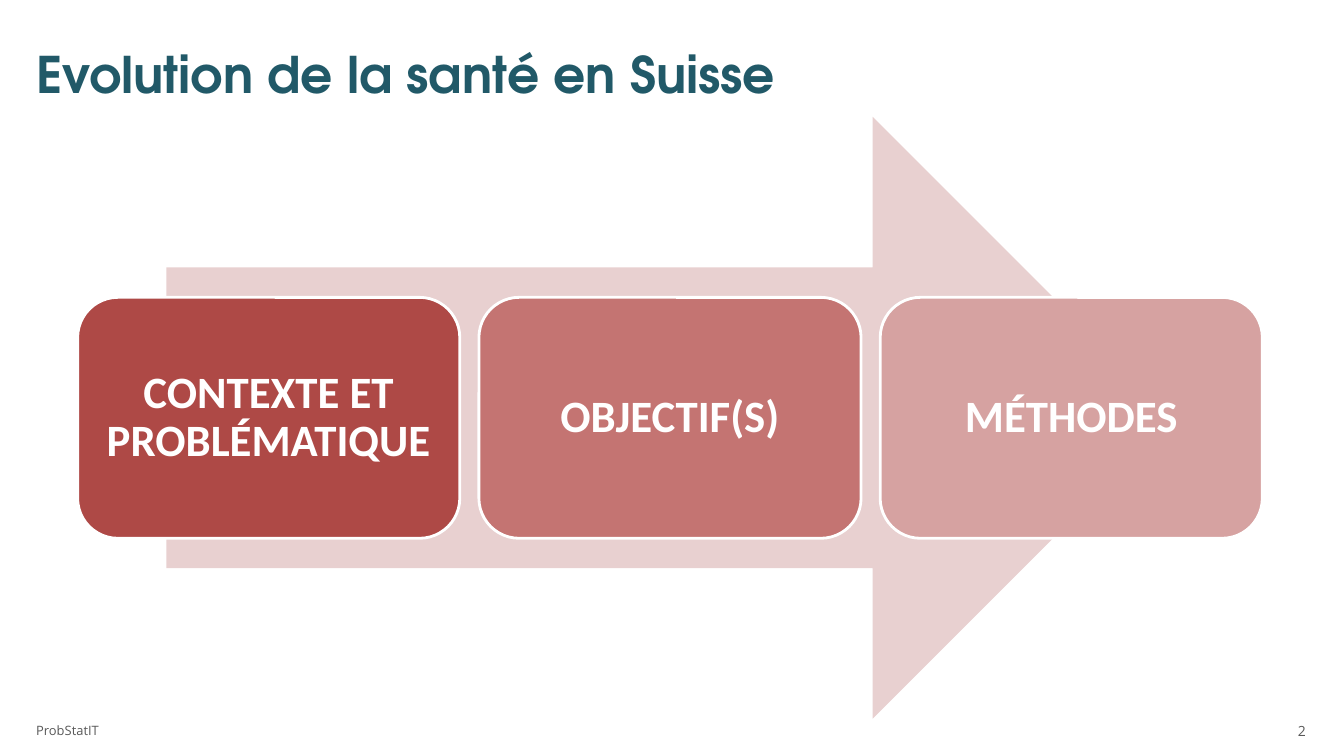
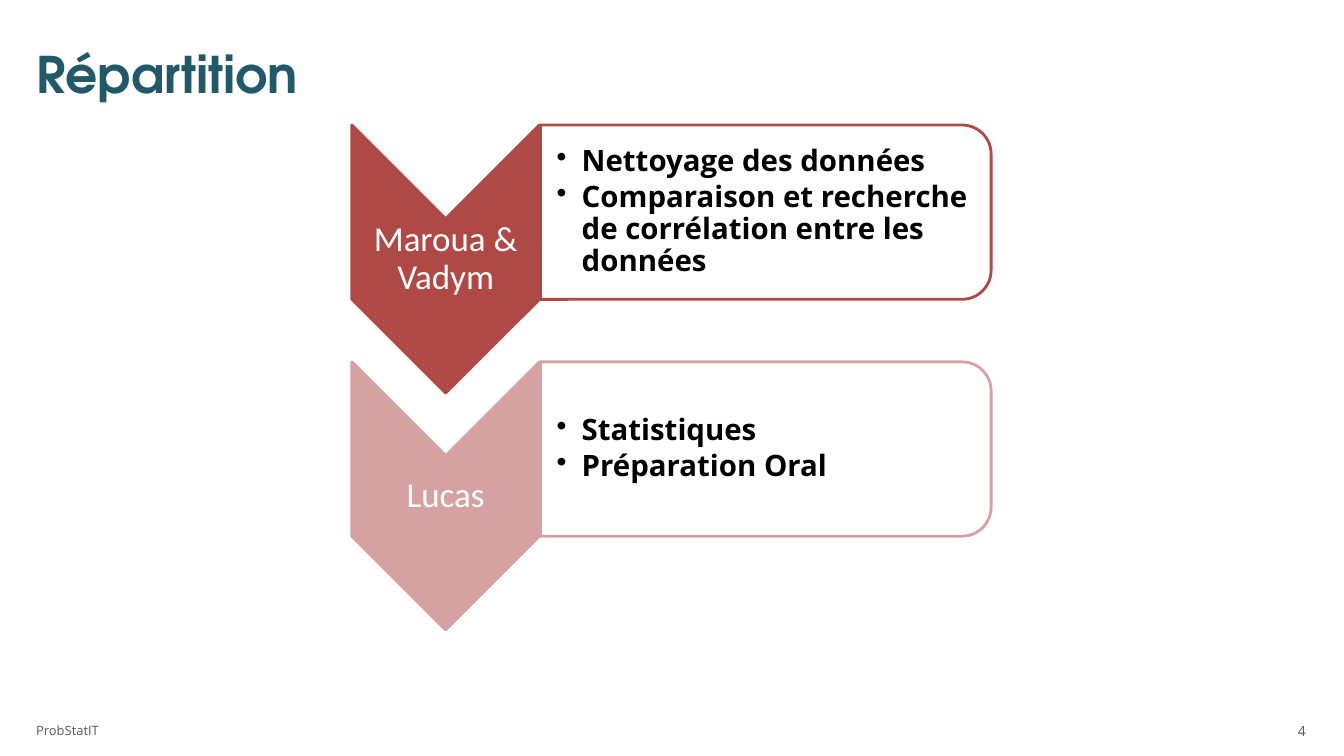
from dataclasses import dataclass
from typing import NamedTuple

from lxml.etree import SubElement
from pptx import Presentation
from pptx.dml.color import RGBColor
from pptx.enum.shapes import MSO_SHAPE as Preset
from pptx.enum.text import MSO_ANCHOR as Anchor, PP_ALIGN as Align
from pptx.oxml.ns import qn
from pptx.util import Pt

EMU_PER_PX = 9144
TITLE_ONLY = 5


@dataclass(frozen=True)
class Theme:
    title: str = "215968"
    muted: str = "595959"
    dark: str = "AE4946"
    medium: str = "C47472"
    light: str = "D6A2A1"
    pale: str = "E8D0D0"
    white: str = "FFFFFF"
    black: str = "000000"
    title_font: str = "TeX Gyre Adventor"
    body_font: str = "Open Sans"
    label_font: str = "Calibri"
    title_size: float = 36
    card_size: float = 32
    label_size: float = 25
    bullet_size: float = 21
    number_size: float = 10
    footer_size: float = 9.2
    outline: float = 2


class Box(NamedTuple):
    left: int
    top: int
    width: int
    height: int


THEME = Theme()
SLIDE = Box(0, 0, 1333, 750)
TITLE = Box(26, 29, 1279, 87)
FOOTER = Box(26, 713, 311, 24)
NUMBER = Box(994, 713, 311, 24)
DIAGRAM = Box(77, 116, 1175, 597)
ASSIGNMENTS = Box(349, 124, 634, 501)

TITLE_STYLE = dict(name=THEME.title_font, size=THEME.title_size, color=THEME.title, bold=True)
FOOTER_STYLE = dict(name=THEME.body_font, size=THEME.footer_size, color=THEME.muted)
NUMBER_STYLE = dict(FOOTER_STYLE, size=THEME.number_size)
CARD_STYLE = dict(name=THEME.label_font, size=THEME.card_size, color=THEME.white, bold=True)
LABEL_STYLE = dict(name=THEME.label_font, size=THEME.label_size, color=THEME.white)
BULLET_STYLE = dict(name=THEME.body_font, size=THEME.bullet_size, color=THEME.black, bold=True)


def px(length):
    return round(length * EMU_PER_PX)


def emu(box):
    return [px(length) for length in box]


def set_attributes(target, values):
    for name, value in values.items():
        setattr(target, name, value)


def format_run(run, style):
    values = dict(style, size=Pt(style["size"]))
    run.font.color.rgb = RGBColor.from_string(values.pop("color"))
    set_attributes(run.font, values)


def add_bullet(paragraph):
    properties = paragraph._p.get_or_add_pPr()
    for name, value in dict(lvl=1, marL=px(25), indent=px(-25)).items():
        properties.set(name, str(value))
    SubElement(properties, qn("a:buChar")).set("char", "•")


def write(shape, lines, style, align=Align.LEFT, insets=(10, 5, 10, 5), bullets=False, **spacing):
    frame = shape.text_frame
    sides = ("margin_left", "margin_top", "margin_right", "margin_bottom")
    set_attributes(frame, dict(zip(sides, emu(insets)), word_wrap=True,
                               vertical_anchor=Anchor.MIDDLE))
    for index, line in enumerate(lines):
        paragraph = frame.paragraphs[0] if index == 0 else frame.add_paragraph()
        set_attributes(paragraph, dict(spacing, alignment=align))
        if bullets:
            add_bullet(paragraph)
        run = paragraph.add_run()
        run.text = line
        format_run(run, style)


def add_text(slide, box, lines, style, **options):
    write(slide.shapes.add_textbox(*emu(box)), lines, style, **options)


def add_preset(slide, preset, box, fill, line=None):
    shape = slide.shapes.add_shape(preset, *emu(box))
    shape.shadow.inherit = False
    shape.fill.solid()
    shape.fill.fore_color.rgb = RGBColor.from_string(fill)
    if line:
        shape.line.color.rgb = RGBColor.from_string(line)
        shape.line.width = Pt(THEME.outline)
    else:
        shape.line.fill.background()
    return shape


def add_turned_preset(slide, preset, box, fill, line):
    shift = (box.width - box.height) / 2
    unturned = Box(box.left + shift, box.top - shift, box.height, box.width)
    shape = add_preset(slide, preset, unturned, fill, line)
    shape.rotation = 90
    return shape


def set_opacity(shape, percent):
    color = shape._element.spPr.find(qn("a:solidFill")).find(qn("a:srgbClr"))
    SubElement(color, qn("a:alpha")).set("val", str(percent * 1000))


def add_base_slide(presentation, title, number):
    slide = presentation.slides.add_slide(presentation.slide_layouts[TITLE_ONLY])
    placeholder = slide.shapes.title
    set_attributes(placeholder, dict(zip(("left", "top", "width", "height"), emu(TITLE))))
    write(placeholder, [title], TITLE_STYLE)
    add_text(slide, NUMBER, [str(number)], NUMBER_STYLE, align=Align.RIGHT)
    add_text(slide, FOOTER, ["ProbStatIT"], FOOTER_STYLE)
    return slide


def add_process(slide, box, steps):
    gap = 19
    arrow_width = round(box.width * 0.85)
    arrow_left = box.left + (box.width - arrow_width) // 2
    add_preset(slide, Preset.RIGHT_ARROW, Box(arrow_left, box.top, arrow_width, box.height),
               THEME.pale)
    width = (box.width - gap * (len(steps) - 1)) / len(steps)
    height = round(box.height * 0.4)
    top = box.top + (box.height - height) // 2
    for index, (label, color) in enumerate(steps):
        card_box = Box(box.left + index * (width + gap), top, width, height)
        card = add_preset(slide, Preset.ROUNDED_RECTANGLE, card_box, color, THEME.white)
        write(card, [label], CARD_STYLE, align=Align.CENTER, insets=(13,) * 4, line_spacing=0.9)


def add_assignment(slide, box, person, tasks, color):
    chevron = Box(box.left, box.top, 186, box.height)
    panel = Box(box.left + 187, box.top, box.width - 187, 173)
    add_turned_preset(slide, Preset.CHEVRON, chevron, color, color)
    add_text(slide, Box(chevron.left, box.top + 93, chevron.width, 80), [person], LABEL_STYLE,
             align=Align.CENTER, insets=(2,) * 4, line_spacing=0.9)
    outline = add_turned_preset(slide, Preset.ROUND_2_SAME_RECTANGLE, panel, THEME.white, color)
    set_opacity(outline, 90)
    add_text(slide, Box(panel.left, panel.top + 9, panel.width - 8, panel.height - 18), tasks,
             BULLET_STYLE, insets=(16, 1, 1, 1), bullets=True,
             line_spacing=0.9, space_after=Pt(3))


def add_assignments(slide, box, assignments):
    row_height, pitch = 266, 235
    for index, assignment in enumerate(assignments):
        row = Box(box.left, box.top + index * pitch, box.width, row_height)
        add_assignment(slide, row, *assignment)


def main():
    presentation = Presentation()
    presentation.slide_width, presentation.slide_height = px(SLIDE.width), px(SLIDE.height)
    add_process(add_base_slide(presentation, "Evolution de la santé en Suisse", 2), DIAGRAM, [
        ("CONTEXTE ET PROBLÉMATIQUE", THEME.dark),
        ("OBJECTIF(S)", THEME.medium),
        ("MÉTHODES", THEME.light),
    ])
    add_assignments(add_base_slide(presentation, "Répartition", 4), ASSIGNMENTS, [
        ("Maroua & Vadym",
         ["Nettoyage des données", "Comparaison et recherche de corrélation entre les données"],
         THEME.dark),
        ("Lucas", ["Statistiques", "Préparation Oral"], THEME.light),
    ])
    presentation.save("out.pptx")


if __name__ == "__main__":
    main()
